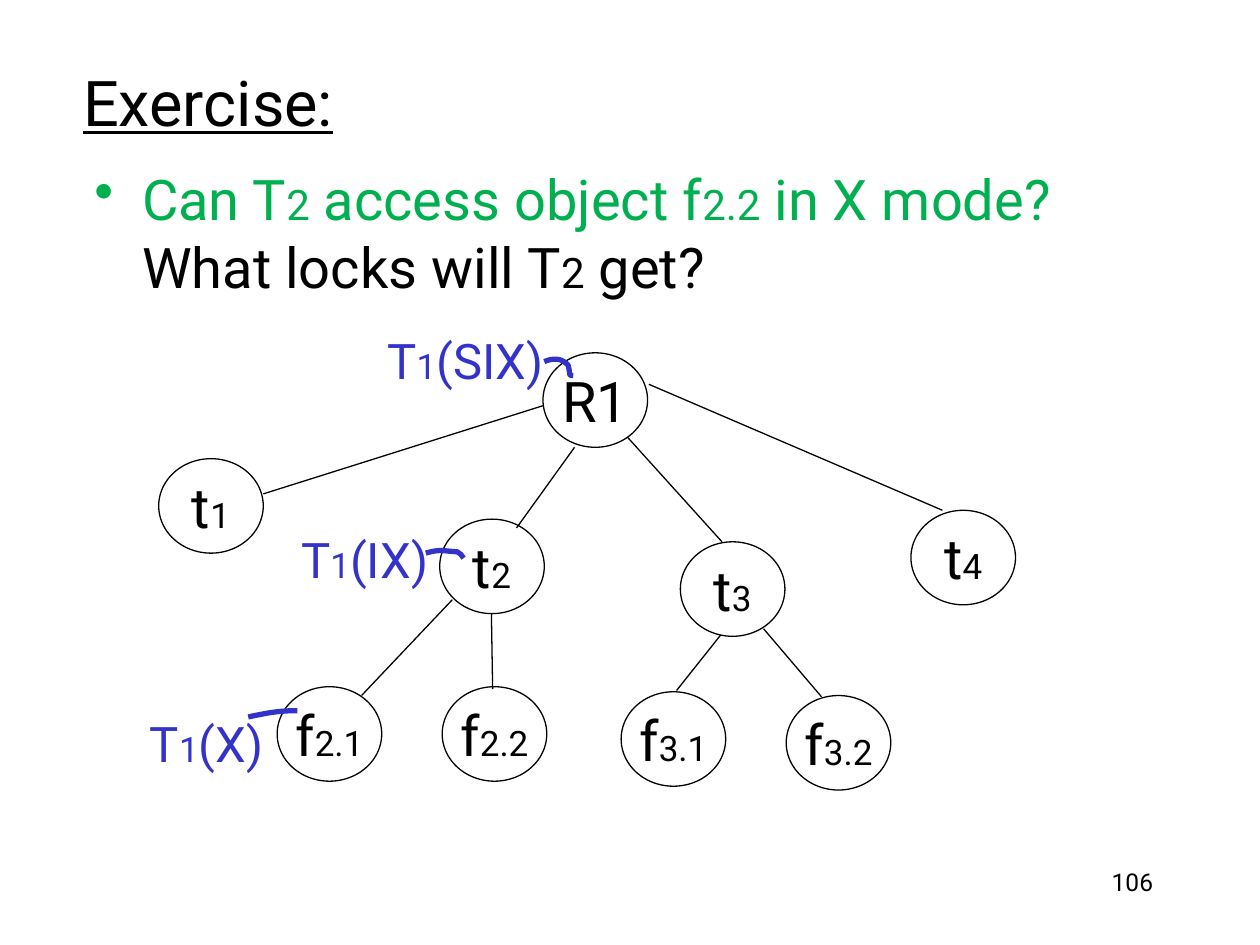
from dataclasses import dataclass
from typing import NamedTuple

import lxml.etree
import pptx
import pptx.dml.color
import pptx.enum.shapes
import pptx.enum.text
import pptx.oxml.ns
import pptx.util

Inches = pptx.util.Inches
Pt = pptx.util.Pt
Align = pptx.enum.text.PP_ALIGN
Anchor = pptx.enum.text.MSO_ANCHOR
Point = tuple[float, float]


@dataclass(frozen=True)
class Theme:
    font: str = "Roboto"
    ink: str = "000000"
    paper: str = "FFFFFF"
    question: str = "00B050"
    lock: str = "3333CC"
    title_size: int = 36
    body_size: int = 32
    body_index: int = 24
    lock_size: int = 28
    tree_index: int = 20
    number_size: int = 14
    edge_width: float = 0.75
    hook_width: float = 3


THEME = Theme()
NODE_SIZE = (0.83, 0.75)
LOCK_HEIGHT = 0.57


class Span(NamedTuple):
    text: str
    size: int
    color: str = THEME.ink


class Node(NamedTuple):
    name: str
    index: str
    left: float
    top: float


class Edge(NamedTuple):
    start: Point
    end: Point


class Lock(NamedTuple):
    mode: str
    left: float
    top: float
    width: float
    hook: list[Point]  # start, then three points per Bezier curve


NODES = [
    Node("R1", "", 4.31, 2.8),
    Node("t", "1", 1.26, 3.64),
    Node("t", "2", 3.49, 4.12),
    Node("t", "3", 5.4, 4.3),
    Node("t", "4", 7.23, 4.05),
    Node("f", "2.1", 2.2, 5.45),
    Node("f", "2.2", 3.51, 5.45),
    Node("f", "3.1", 4.93, 5.49),
    Node("f", "3.2", 6.24, 5.52),
]
EDGES = [
    Edge((4.31, 3.22), (2.09, 3.92)),
    Edge((4.56, 3.55), (4.1, 4.19)),
    Edge((4.98, 3.47), (5.73, 4.3)),
    Edge((5.15, 3.05), (7.48, 4.05)),
    Edge((3.59, 4.76), (2.87, 5.52)),
    Edge((3.9, 4.87), (3.91, 5.47)),
    Edge((5.72, 5.04), (5.37, 5.48)),
    Edge((6.06, 4.99), (6.52, 5.53)),
]
LOCKS = [
    Lock("(SIX)", 2.96, 2.57, 1.47, [(4.32, 2.87), (4.39, 2.84), (4.46, 2.84), (4.51, 2.9),
                                     (4.53, 2.98), (4.51, 2.98), (4.55, 2.98)]),
    Lock("(IX)", 2.27, 4.15, 1.25, [(3.38, 4.39), (3.49, 4.36), (3.49, 4.37), (3.63, 4.38),
                                    (3.67, 4.41), (3.65, 4.39), (3.68, 4.43)]),
    Lock("(X)", 1.09, 5.61, 1.1, [(1.97, 5.69), (2.11, 5.66), (2.21, 5.64), (2.36, 5.64)]),
]


def rgb(color: str) -> pptx.dml.color.RGBColor:
    return pptx.dml.color.RGBColor.from_string(color)


def write(para, spans: list[Span], align=Align.LEFT) -> None:
    """Fill a paragraph; runs override only what differs from its first span."""
    para.alignment = align
    para.font.name = THEME.font
    for span in spans:
        run = para.add_run()
        run.text = span.text
        run.font.size = Pt(span.size)
        run.font.color.rgb = rgb(span.color)


def add_text(page, left: float, top: float, width: float, height: float,
             wrap: bool = True, anchor=Anchor.TOP):
    box = page.shapes.add_textbox(Inches(left), Inches(top), Inches(width), Inches(height))
    box.text_frame.word_wrap = wrap
    box.text_frame.vertical_anchor = anchor
    return box.text_frame.paragraphs[0]


def add_node(page, node: Node) -> None:
    width, height = NODE_SIZE
    oval = page.shapes.add_shape(pptx.enum.shapes.MSO_SHAPE.OVAL, Inches(node.left),
                                 Inches(node.top), Inches(width), Inches(height))
    oval.shadow.inherit = False
    oval.fill.solid()
    oval.fill.fore_color.rgb = rgb(THEME.paper)
    oval.line.color.rgb = rgb(THEME.ink)
    oval.line.width = Pt(THEME.edge_width)
    oval.text_frame.word_wrap = False
    oval.text_frame.vertical_anchor = Anchor.MIDDLE
    spans = [Span(node.name, THEME.body_size)]
    if node.index:
        spans.append(Span(node.index, THEME.tree_index))
    write(oval.text_frame.paragraphs[0], spans, Align.CENTER)


def add_edge(page, edge: Edge) -> None:
    line = page.shapes.add_connector(pptx.enum.shapes.MSO_CONNECTOR.STRAIGHT,
                                     *map(Inches, edge.start + edge.end))
    line.line.color.rgb = rgb(THEME.ink)
    line.line.width = Pt(THEME.edge_width)
    properties = line._element.spPr
    lxml.etree.SubElement(properties, pptx.oxml.ns.qn("a:effectLst"))


def curve_points(hook: list[Point], steps: int = 12) -> list[Point]:
    """Sample a chain of cubic Bezier curves."""
    points = [hook[0]]
    for first in range(0, len(hook) - 1, 3):
        corners = hook[first:first + 4]
        for step in range(1, steps + 1):
            t = step / steps
            weights = ((1 - t) ** 3, 3 * t * (1 - t) ** 2, 3 * t * t * (1 - t), t ** 3)
            points.append(tuple(sum(w * corner[axis] for w, corner in zip(weights, corners))
                                for axis in (0, 1)))
    return points


def add_lock(page, lock: Lock) -> None:
    para = add_text(page, lock.left, lock.top, lock.width, LOCK_HEIGHT, False, Anchor.MIDDLE)
    write(para, [Span("T", THEME.lock_size, THEME.lock), Span("1", THEME.tree_index, THEME.lock),
                 Span(lock.mode, THEME.lock_size, THEME.lock)], Align.CENTER)
    start, *rest = [(Inches(x), Inches(y)) for x, y in curve_points(lock.hook)]
    builder = page.shapes.build_freeform(*start)
    builder.add_line_segments(rest, close=False)
    hook = builder.convert_to_shape()
    hook.shadow.inherit = False
    hook.fill.background()
    hook.line.color.rgb = rgb(THEME.lock)
    hook.line.width = Pt(THEME.hook_width)


def add_question(page) -> None:
    para = add_text(page, 0.65, 1.26, 8.5, 1.25)
    properties = para._p.get_or_add_pPr()
    properties.set("marL", str(Inches(0.38)))
    properties.set("indent", str(Inches(-0.38)))
    lxml.etree.SubElement(properties, pptx.oxml.ns.qn("a:buChar"), char="•")
    big, small, green = THEME.body_size, THEME.body_index, THEME.question
    write(para, [Span("Can T", big, green), Span("2", small, green),
                 Span(" access object f", big, green), Span("2.2", small, green),
                 Span(" in X mode? ", big, green),
                 Span("What locks will T", big), Span("2", small), Span(" get?", big)])


def main() -> None:
    deck = pptx.Presentation()
    deck.slide_width, deck.slide_height = Inches(10), Inches(7.5)
    page = deck.slides.add_slide(deck.slide_layouts.get_by_name("Title Only"))

    # Title, question and page number
    title = page.shapes.title
    title.left, title.top, title.width, title.height = map(Inches, (0.56, 0.44, 8.5, 0.72))
    title.text_frame.vertical_anchor = Anchor.MIDDLE
    heading = title.text_frame.paragraphs[0]
    write(heading, [Span("Exercise:", THEME.title_size)])
    heading.runs[0].font.underline = True
    add_question(page)
    write(add_text(page, 7.17, 6.83, 2.08, 0.5), [Span("106", THEME.number_size)], Align.RIGHT)

    # Lock tree
    for node in NODES:
        add_node(page, node)
    for edge in EDGES:
        add_edge(page, edge)
    for lock in LOCKS:
        add_lock(page, lock)

    deck.save("out.pptx")


if __name__ == "__main__":
    main()
